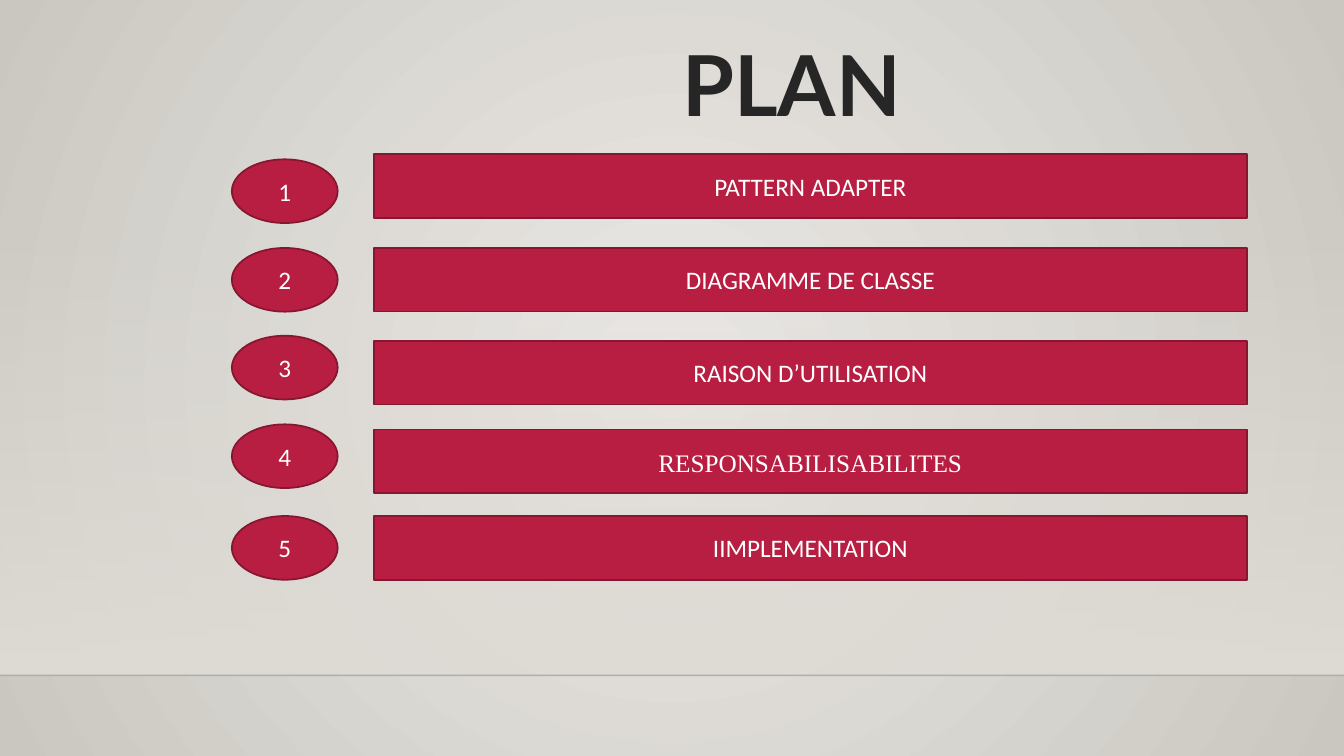
import pptx
import pptx.util
import pptx.dml.color
import pptx.enum.shapes
import pptx.enum.text
import pptx.oxml
import pptx.oxml.ns

Pt = pptx.util.Pt
Shape = pptx.enum.shapes.MSO_SHAPE
Align = pptx.enum.text.PP_ALIGN
Anchor = pptx.enum.text.MSO_ANCHOR
qn = pptx.oxml.ns.qn
namespace = pptx.oxml.ns.nsdecls("a")

colors = {
    "center": "ECEAE7",
    "edge": "CAC7C1",
    "wall": "DFDBD5",
    "horizon": "000001",
    "title": "262626",
    "crimson": "B71E42",
    "border": "871631",
    "white": "FFFFFF",
}


def paint_gradient(fill, owner, first, last, first_alpha, direction):
    fill.gradient()
    gradient = owner.find(".//" + qn("a:gradFill"))
    for child in list(gradient):
        gradient.remove(child)
    stops = pptx.oxml.parse_xml(
        f'<a:gsLst {namespace}><a:gs pos="0"><a:srgbClr val="{colors[first]}">'
        f'<a:alpha val="{first_alpha * 1000}"/></a:srgbClr></a:gs>'
        f'<a:gs pos="100000"><a:srgbClr val="{colors[last]}"/></a:gs></a:gsLst>')
    gradient.append(stops)
    gradient.append(pptx.oxml.parse_xml(direction))


def write(shape, text, color, paragraph_format, font_format):
    para = shape.text_frame.paragraphs[0]
    for name, value in paragraph_format.items():
        setattr(para, name, value)
    span = para.add_run()
    span.text = text
    for name, value in font_format.items():
        setattr(span.font, name, value)
    span.font.color.rgb = pptx.dml.color.RGBColor.from_string(colors[color])
    return span


deck = pptx.Presentation()
deck.slide_width, deck.slide_height = Pt(960), Pt(540)
page = deck.slides.add_slide(deck.slide_layouts[6])

paint_gradient(
    page.background.fill, page._element, "center", "edge", 100,
    f'<a:path {namespace} path="circle">'
    '<a:fillToRect l="50000" t="50000" r="50000" b="50000"/></a:path>')

wall = page.shapes.add_shape(Shape.RECTANGLE, 0, Pt(159), Pt(960), Pt(323.4))
wall.shadow.inherit = False
wall.line.fill.background()
paint_gradient(wall.fill, wall._element, "wall", "wall", 0,
               f'<a:lin {namespace} ang="5400000" scaled="0"/>')

horizon = page.shapes.add_connector(
    pptx.enum.shapes.MSO_CONNECTOR.STRAIGHT, 0, Pt(482.4), Pt(960), Pt(482.4))
horizon.line.width = Pt(1)
horizon.line.color.rgb = pptx.dml.color.RGBColor.from_string(colors["horizon"])
horizon._element.spPr.append(pptx.oxml.parse_xml(f"<a:effectLst {namespace}/>"))
horizon._element.find(".//" + qn("a:srgbClr")).append(
    pptx.oxml.parse_xml(f'<a:alpha {namespace} val="20000"/>'))

title = page.shapes.add_textbox(Pt(480.2), Pt(19.4), Pt(281.5), Pt(80))
title.text_frame.word_wrap = True
title_span = write(title, "PLAN", "title", {},
                   {"name": "Lato", "size": Pt(60), "bold": True})
title_span.font._element.insert(0, pptx.oxml.parse_xml(
    f'<a:ln {namespace} w="13462"><a:solidFill>'
    f'<a:srgbClr val="{colors["white"]}"/></a:solidFill></a:ln>'))

centered = {"alignment": Align.CENTER}
spaced = {"alignment": Align.CENTER, "line_spacing": 1.07, "space_after": Pt(8)}
chapters = [
    ("PATTERN ADAPTER", 110.2, 113.8, "Calibri", centered),
    ("DIAGRAMME DE CLASSE", 177.1, 177.1, "Calibri", centered),
    ("RAISON D’UTILISATION", 243.4, 239.8, "Calibri", centered),
    ("RESPONSABILISABILITES", 306.7, 303.1, "Times New Roman", spaced),
    ("IIMPLEMENTATION", 368.6, 368.6, "Calibri", centered),
]
for number, (chapter, bar_top, badge_top, font, layout) in enumerate(chapters, 1):
    for kind, left, top, width, text, name, paragraph_format in (
        (Shape.RECTANGLE, 267.1, bar_top, 623.5, chapter, font, layout),
        (Shape.OVAL, 165.6, badge_top, 75.6, str(number), "Calibri", centered),
    ):
        item = page.shapes.add_shape(kind, Pt(left), Pt(top), Pt(width), Pt(45.5))
        item.shadow.inherit = False
        item.fill.solid()
        item.fill.fore_color.rgb = pptx.dml.color.RGBColor.from_string(colors["crimson"])
        item.line.color.rgb = pptx.dml.color.RGBColor.from_string(colors["border"])
        item.line.width = Pt(1.25)
        item.text_frame.vertical_anchor = Anchor.MIDDLE
        write(item, text, "white", paragraph_format, {"name": name, "size": Pt(18)})

deck.save("out.pptx")
